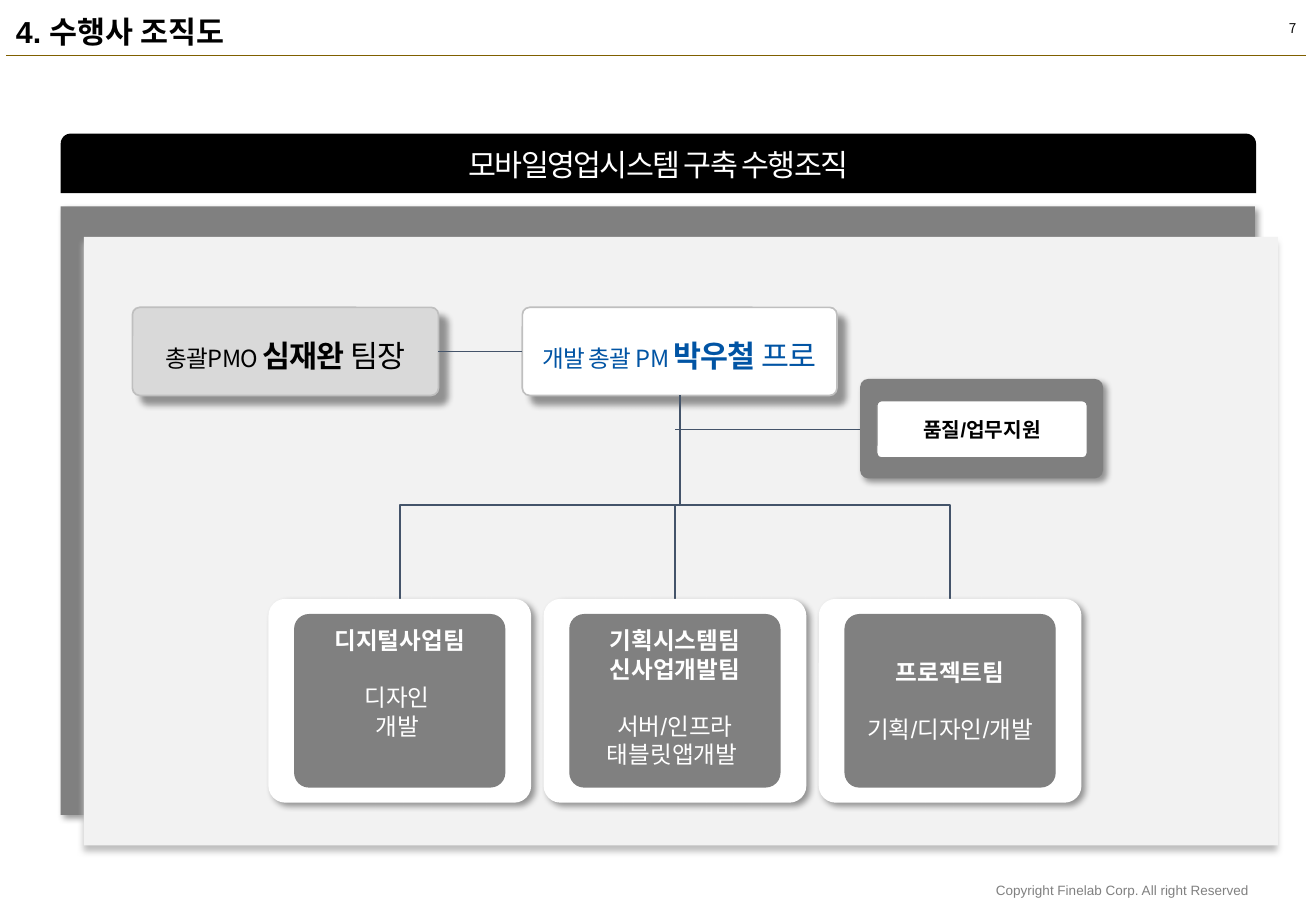
from lxml.etree import SubElement
from pptx import Presentation
from pptx.dml.color import RGBColor
from pptx.enum.shapes import MSO_CONNECTOR, MSO_SHAPE
from pptx.enum.text import MSO_ANCHOR, MSO_AUTO_SIZE, PP_ALIGN
from pptx.oxml.ns import qn
from pptx.util import Pt

BLACK = RGBColor(0x00, 0x00, 0x00)
WHITE = RGBColor(0xFF, 0xFF, 0xFF)
GRAY = RGBColor(0x80, 0x80, 0x80)
DARK_GRAY = RGBColor(0x7F, 0x7F, 0x7F)
PANEL = RGBColor(0xF2, 0xF2, 0xF2)
LIGHT_GRAY = RGBColor(0xD9, 0xD9, 0xD9)
BORDER = RGBColor(0xBF, 0xBF, 0xBF)
BLUE = RGBColor(0x01, 0x54, 0xA4)
NAVY = RGBColor(0x44, 0x54, 0x6A)
RULE = RGBColor(0x80, 0x60, 0x00)
NUMBER = RGBColor(0x0D, 0x0D, 0x0D)
KOREAN = "Noto Sans CJK KR"

# Content
TITLE = "4. 수행사 조직도"
PAGE_NUMBER = "7"
COPYRIGHT = "Copyright Finelab Corp. All right Reserved"
BANNER = "모바일영업시스템 구축 수행조직"
PMO = ("총괄PMO ", "심재완", " 팀장")
PM = ("개발 총괄 PM ", "박우철", " 프로")
QUALITY = "품질/업무지원"
TEAMS = [  # names, duties, anchor
    (["디지털사업팀"], ["디자인 ", "개발 "], MSO_ANCHOR.TOP),
    (["기획시스템팀", "신사업개발팀"], ["서버/인프라", "태블릿앱개발 "], MSO_ANCHOR.TOP),
    (["프로젝트팀"], ["기획/디자인/개발"], MSO_ANCHOR.MIDDLE),
]

# Layout in points: left, top, width, height
BANNER_BOX = (36, 79.2, 708.5, 35.3)
BACK_PANEL = (36, 122.4, 707.8, 360.7)
FRONT_PANEL = (49.7, 140.4, 707.8, 360.7)
PMO_BOX = (78.5, 182.2, 181.4, 52.2)
PM_BOX = (309.6, 182.2, 186.5, 52.2)
QUALITY_FRAME = (509.8, 224.6, 144, 59)
QUALITY_BOX = (519.8, 237.6, 124.6, 33.8)
CARD_LEFT, CARD_TOP, CARD_WIDTH, CARD_HEIGHT, CARD_STEP = 159.1, 355, 155.7, 120.8, 163.1
INSET_X, INSET_Y = 15.6, 9.3
TEAM_GAP = 17

# Shadows: colour, opacity %, blur, distance, angle
SOFT = ("000000", 40, 4, 3, 45)
DEEP = ("000000", 40, 4, 7, 45)
UNDER = ("BFBFBF", 100, 4, 4, 90)


def add_run(paragraph, text, size, color, bold=False, name="Arial", spacing=0):
    run = paragraph.add_run()
    run.text = text
    font_format = {"size": Pt(size), "bold": bold, "name": name}
    for attribute, value in font_format.items():
        setattr(run.font, attribute, value)
    run.font.color.rgb = color
    properties = run.font._element
    SubElement(properties, qn("a:ea")).set("typeface", KOREAN)
    if spacing:
        properties.set("spc", str(round(spacing * 100)))


def set_frame(frame, anchor=MSO_ANCHOR.MIDDLE, insets=None, wrap=True):
    """Insets are a pair: left and right, top and bottom."""
    frame_format = {"word_wrap": wrap, "vertical_anchor": anchor}
    if insets is not None:
        across, down = map(Pt, insets)
        frame_format.update(margin_left=across, margin_right=across,
                            margin_top=down, margin_bottom=down)
    for attribute, value in frame_format.items():
        setattr(frame, attribute, value)


def add_box(shapes, kind, box, fill, line=None, line_width=1, shadow=None):
    shape = shapes.add_shape(kind, *map(Pt, box))
    shape.fill.solid()
    shape.fill.fore_color.rgb = fill
    if line is None:
        shape.line.fill.background()
    else:
        shape.line.color.rgb = line
        shape.line.width = Pt(line_width)
    if kind == MSO_SHAPE.ROUNDED_RECTANGLE:
        shape.adjustments[0] = 0.083
    shape.shadow.inherit = False
    if shadow:
        color, opacity, blur, distance, angle = shadow
        effects = shape._element.spPr.find(qn("a:effectLst"))
        outer = SubElement(effects, qn("a:outerShdw"), blurRad=str(Pt(blur)),
                           dist=str(Pt(distance)), dir=str(angle * 60000),
                           algn="tl", rotWithShape="0")
        tint = SubElement(outer, qn("a:srgbClr"), val=color)
        SubElement(tint, qn("a:alpha"), val=str(opacity * 1000))
    return shape


def add_line(shapes, start, end, color=NAVY, width=1, kind=MSO_CONNECTOR.STRAIGHT):
    connector = shapes.add_connector(kind, *map(Pt, start + end))
    connector.line.color.rgb = color
    connector.line.width = Pt(width)
    SubElement(connector._element.spPr, qn("a:effectLst"))
    return connector


def add_branch(shapes, start, end):
    """Elbow that leaves downwards, runs sideways halfway, then goes down again."""
    (x1, y1), (x2, y2) = start, end
    length, spread = y2 - y1, abs(x2 - x1)
    left, top = (x1 + x2 - length) / 2, (y1 + y2 - spread) / 2
    rightward = x2 > x1
    connector = add_line(shapes, (left, top), (left + length, top + spread),
                         kind=MSO_CONNECTOR.ELBOW)
    transform = connector._element.spPr.find(qn("a:xfrm"))
    transform.set("rot", str((270 if rightward else 90) * 60000))
    if rightward:
        transform.set("flipH", "1")


def add_leader(shapes, box, parts, fill, color):
    shape = add_box(shapes, MSO_SHAPE.ROUNDED_RECTANGLE, box, fill, BORDER, shadow=DEEP)
    set_frame(shape.text_frame, insets=(0, 0))
    paragraph = shape.text_frame.paragraphs[0]
    paragraph.alignment = PP_ALIGN.CENTER
    paragraph.line_spacing = 1.2
    for text, size, bold in zip(parts, (14, 18, 18), (False, True, False)):
        add_run(paragraph, text, size, color, bold, KOREAN, -0.5)
    return shape


def add_note(shapes, box, text, color, name, alignment, wrap=True):
    frame = shapes.add_textbox(*map(Pt, box)).text_frame
    set_frame(frame, MSO_ANCHOR.TOP, wrap=wrap)
    frame.paragraphs[0].alignment = alignment
    add_run(frame.paragraphs[0], text, 8, color, name=name)


def add_team(shapes, box, names, duties, anchor):
    shape = add_box(shapes, MSO_SHAPE.ROUNDED_RECTANGLE, box, GRAY, GRAY, 0.75)
    frame = shape.text_frame
    set_frame(frame, anchor, (0, 4.3))
    for index, text in enumerate(names + duties):
        paragraph = frame.add_paragraph() if index else frame.paragraphs[0]
        paragraph.alignment = PP_ALIGN.CENTER
        if index == len(names):
            paragraph.space_before = Pt(TEAM_GAP)
        add_run(paragraph, text, 14, WHITE, index < len(names))


def main():
    presentation = Presentation()
    presentation.slide_width, presentation.slide_height = Pt(780), Pt(540)
    slide = presentation.slides.add_slide(presentation.slide_layouts[5])
    shapes = slide.shapes

    title = shapes.title
    title.left, title.top, title.width, title.height = map(Pt, (2.2, 4.3, 564.5, 28.8))
    set_frame(title.text_frame)
    title.text_frame.auto_size = MSO_AUTO_SIZE.NONE
    title.text_frame.paragraphs[0].alignment = PP_ALIGN.LEFT
    add_run(title.text_frame.paragraphs[0], TITLE, 18, BLACK, True)

    add_line(shapes, (3.6, 32.6), (774, 32.6), RULE, 0.5)
    add_note(shapes, (640, 8.6, 135.4, 17.3), PAGE_NUMBER, NUMBER, KOREAN, PP_ALIGN.RIGHT)
    add_note(shapes, (583.2, 519.1, 170.6, 17.3), COPYRIGHT, GRAY, "Arial", PP_ALIGN.LEFT, False)

    add_box(shapes, MSO_SHAPE.RECTANGLE, BACK_PANEL, GRAY, shadow=SOFT)
    add_box(shapes, MSO_SHAPE.RECTANGLE, FRONT_PANEL, PANEL, shadow=UNDER)
    banner = add_box(shapes, MSO_SHAPE.ROUND_2_SAME_RECTANGLE, BANNER_BOX, BLACK)
    set_frame(banner.text_frame)
    banner.text_frame.paragraphs[0].alignment = PP_ALIGN.CENTER
    add_run(banner.text_frame.paragraphs[0], BANNER, 18, WHITE, spacing=-1)

    pm = add_leader(shapes, PM_BOX, PM, WHITE, BLUE)
    pmo = add_leader(shapes, PMO_BOX, PMO, LIGHT_GRAY, BLACK)
    leader_link = add_line(shapes, (309.6, 208.3), (259.9, 208.3))
    leader_link.begin_connect(pm, 1)
    leader_link.end_connect(pmo, 3)

    card_lefts = [CARD_LEFT + index * CARD_STEP for index in range(len(TEAMS))]
    pm_bottom = (PM_BOX[0] + PM_BOX[2] / 2, PM_BOX[1] + PM_BOX[3])
    for left in card_lefts:
        add_branch(shapes, pm_bottom, (left + CARD_WIDTH / 2, CARD_TOP + INSET_Y))
    quality_link = add_line(shapes, (519.8, 254.5), (card_lefts[1] + CARD_WIDTH / 2, 254.5))

    for left, team in zip(card_lefts, TEAMS):
        add_box(shapes, MSO_SHAPE.ROUNDED_RECTANGLE,
                (left, CARD_TOP, CARD_WIDTH, CARD_HEIGHT), WHITE, shadow=SOFT)
        add_team(shapes, (left + INSET_X, CARD_TOP + INSET_Y, CARD_WIDTH - 2 * INSET_X,
                          CARD_HEIGHT - 2 * INSET_Y), *team)

    add_box(shapes, MSO_SHAPE.ROUNDED_RECTANGLE, QUALITY_FRAME, DARK_GRAY, shadow=SOFT)
    quality = add_box(shapes, MSO_SHAPE.ROUNDED_RECTANGLE, QUALITY_BOX, WHITE, GRAY, 0.75)
    set_frame(quality.text_frame, insets=(4.3, 4.3))
    quality.text_frame.paragraphs[0].alignment = PP_ALIGN.CENTER
    add_run(quality.text_frame.paragraphs[0], QUALITY, 12, BLACK, True)
    quality_link.begin_connect(quality, 1)

    presentation.save("out.pptx")


if __name__ == "__main__":
    main()
